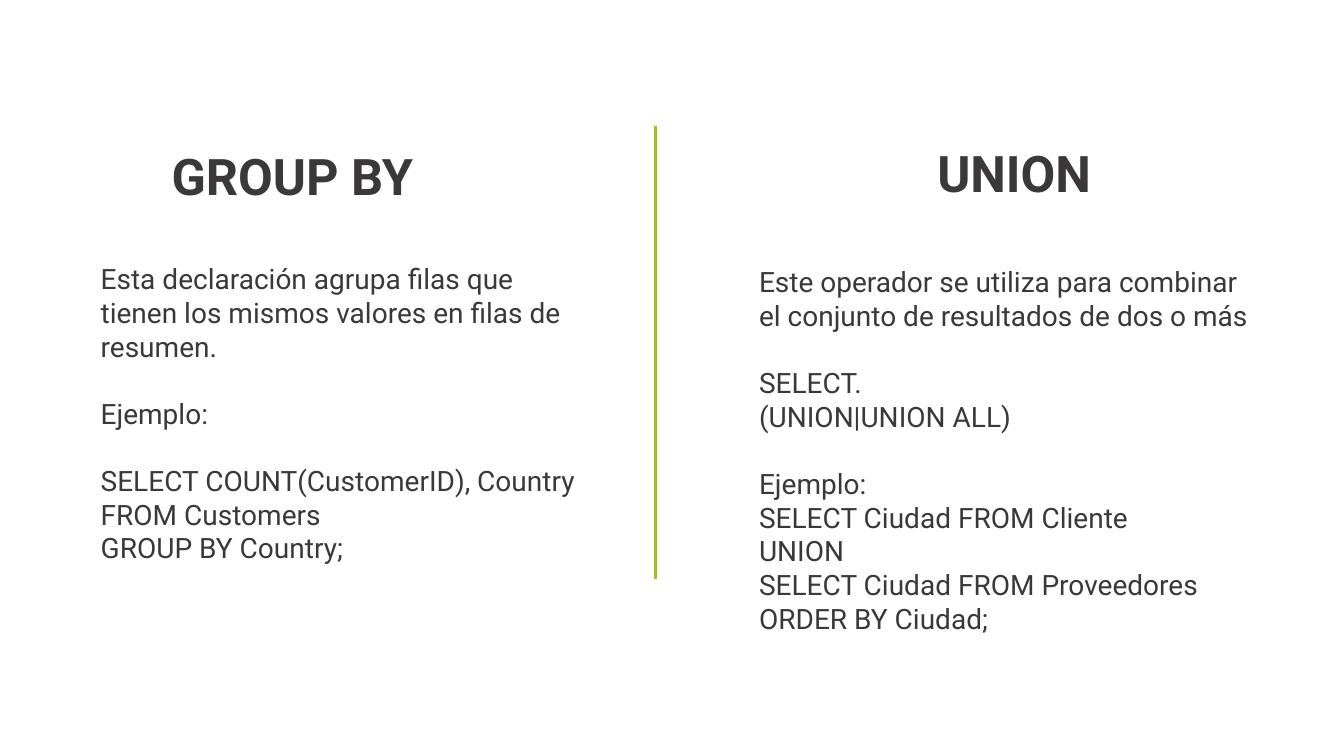
from pptx import Presentation
from pptx import util as u
from pptx.dml.color import RGBColor
from pptx.enum import shapes, text
from pptx.oxml.ns import qn
from lxml import etree

INK = "3A3838"
GREEN = "9FC417"
WHITE = "FFFFFF"


def tint(code):
    return RGBColor.from_string(code)


def place(shape, box):
    shape.left, shape.top, shape.width, shape.height = map(u.Inches, box)


def write(shape, groups, size=20, bold=False, align=text.PP_ALIGN.LEFT,
          pitch=None, gap=24):
    """Fill a shape with groups of lines, parted by gap points."""
    frame = shape.text_frame
    frame.word_wrap = True
    frame.auto_size = text.MSO_AUTO_SIZE.NONE
    frame.vertical_anchor = text.MSO_ANCHOR.TOP
    lines = [(line, i > 0 and j == 0)
             for i, group in enumerate(groups) for j, line in enumerate(group)]
    for n, (line, apart) in enumerate(lines):
        para = frame.add_paragraph() if n else frame.paragraphs[0]
        para.alignment = align
        para.space_before = u.Pt(gap if apart else 0)
        if pitch:
            para.line_spacing = pitch
        run = para.add_run()
        run.text = line
        font = run.font
        font.name, font.size, font.bold = "Roboto", u.Pt(size), bold
        font.color.rgb = tint(INK)


def column(slide, head, title, box, groups, holder=None):
    """Place a heading in the head box and its text in box."""
    top = holder or slide.shapes.add_textbox(0, 0, 0, 0)
    place(top, head)
    write(top, [[title]], size=36, bold=True, align=text.PP_ALIGN.CENTER,
          pitch=0.9)
    body = slide.shapes.add_textbox(*map(u.Inches, box))
    write(body, groups)


def panel(slide, box):
    rect = slide.shapes.add_shape(
        shapes.MSO_SHAPE.RECTANGLE, *map(u.Inches, box))
    rect.shadow.inherit = False
    rect.fill.solid()
    rect.fill.fore_color.rgb = tint(WHITE)
    rect.line.color.rgb = tint(WHITE)
    rect.line.width = u.Pt(1)


def divide(slide, x, top, end):
    line = slide.shapes.add_connector(
        shapes.MSO_CONNECTOR.STRAIGHT,
        *map(u.Inches, (x, top, x, end)))
    line.line.color.rgb = tint(GREEN)
    line.line.width = u.Pt(2.25)
    etree.SubElement(line._element.spPr, qn("a:effectLst"))


def main():
    deck = Presentation()
    deck.slide_width, deck.slide_height = u.Inches(13.33), u.Inches(7.5)
    slide = deck.slides.add_slide(deck.slide_layouts[5])
    panel(slide, (12, 4.15, 0.9, 3.06))
    column(slide, (1.12, 1.46, 3.56, 0.65), "GROUP BY",
           (0.9, 2.55, 5.12, 3.47), [
               ["Esta declaración agrupa filas que tienen los mismos "
                "valores en filas de resumen."],
               ["Ejemplo:"],
               ["SELECT COUNT(CustomerID), Country",
                "FROM Customers",
                "GROUP BY Country;"],
           ], holder=slide.shapes.title)
    column(slide, (8.28, 1.43, 3.56, 0.65), "UNION",
           (7.43, 2.58, 5.18, 3.8), [
               ["Este operador se utiliza para combinar el conjunto de "
                "resultados de dos o más"],
               ["SELECT.", "(UNION|UNION ALL)"],
               ["Ejemplo:",
                "SELECT Ciudad FROM Cliente",
                "UNION",
                "SELECT Ciudad FROM Proveedores",
                "ORDER BY Ciudad;"],
           ])
    divide(slide, 6.5, 1.25, 5.74)
    deck.save("out.pptx")


if __name__ == "__main__":
    main()
